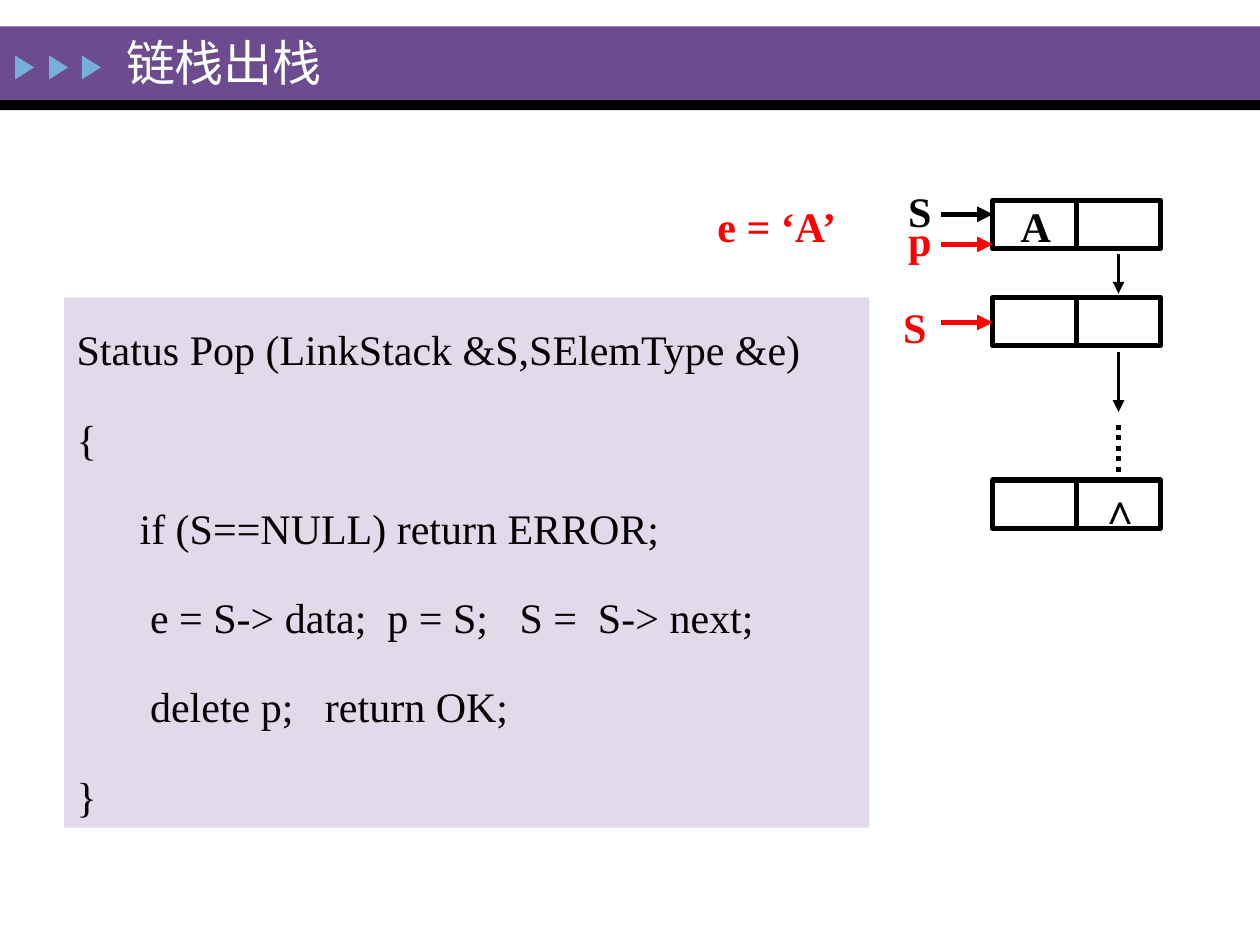
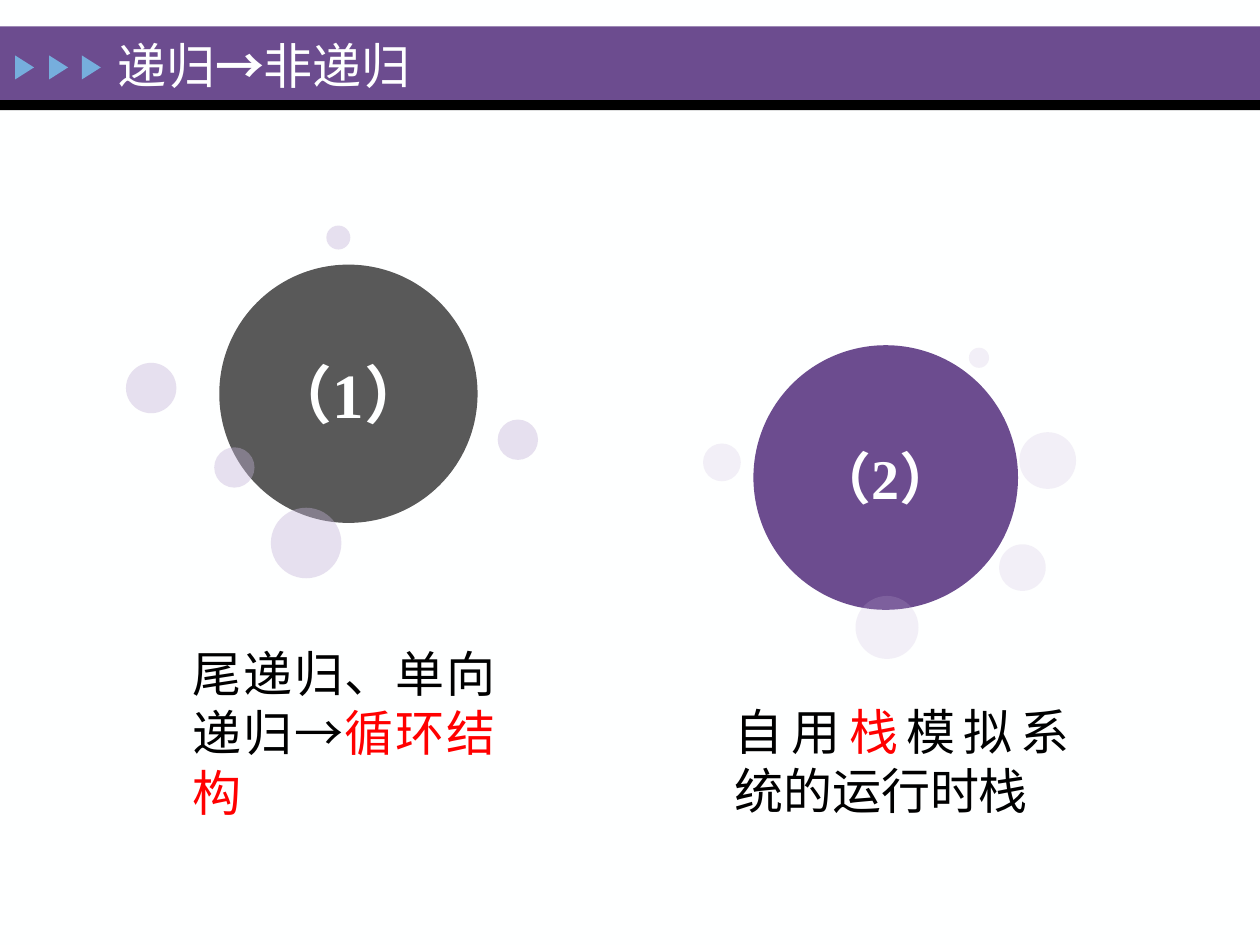
from dataclasses import dataclass, replace
from typing import NamedTuple

from lxml import etree
from pptx import Presentation
from pptx import util as u
from pptx.dml.color import RGBColor
from pptx.enum import dml, shapes, text
from pptx.oxml.ns import qn

COLS, ROWS = 100, 75
WIDE, HIGH = u.Inches(10), u.Inches(7.5)


@dataclass(frozen=True)
class Theme:
    page: str = "FEFFFF"
    band: str = "6C4C8F"
    mark: str = "76AEDD"
    ink: str = "000000"
    hot: str = "FF0000"
    cell: str = "FFFFFF"
    panel: str = "E2D9EB"
    grey: str = "595959"
    mist: str = "C4B3D7"
    latin: str = "Times New Roman"
    asian: str = "Noto Sans CJK SC"
    code: int = 24
    head: int = 28


T = Theme()


class Box(NamedTuple):
    x: float
    y: float
    w: float
    h: float


@dataclass(frozen=True)
class Style:
    size: int
    color: str = T.ink
    bold: bool = False
    align: text.PP_ALIGN = text.PP_ALIGN.LEFT
    gap: float = 0
    lead: float | u.Pt | None = None


class Run(NamedTuple):
    words: str
    color: str = ""
    strong: bool = False


class Line(NamedTuple):
    runs: tuple[Run, ...]
    depth: float = 0


class Tag(NamedTuple):
    words: str
    box: Box
    color: str = T.ink


class Link(NamedTuple):
    start: tuple[float, float]
    end: tuple[float, float]
    width: float = 3
    color: str = T.ink
    head: bool = True
    dots: bool = False


class Dot(NamedTuple):
    x: float
    y: float
    size: float


class Orb(NamedTuple):
    words: str
    size: int
    core: Dot
    fill: str
    alpha: int
    dots: tuple[Dot, ...]


def across(n: float) -> int:
    return round(WIDE * n / COLS)


def down(n: float) -> int:
    return round(HIGH * n / ROWS)


def place(box: Box) -> tuple[int, int, int, int]:
    return across(box.x), down(box.y), across(box.w), down(box.h)


def tint(name: str) -> RGBColor:
    return RGBColor.from_string(name)


def plain(words: str, depth: float = 0) -> Line:
    return Line((Run(words),), depth)


def write(frame, lines: list[Line], style: Style) -> None:
    for i, line in enumerate(lines):
        para = frame.paragraphs[0] if i == 0 else frame.add_paragraph()
        para.alignment = style.align
        para.space_before = u.Pt(style.gap if i else 0)
        if style.lead:
            para.line_spacing = style.lead
        if line.depth:
            para._p.get_or_add_pPr().set("marL", str(across(line.depth)))
        font = para.font
        font.size, font.bold = u.Pt(style.size), style.bold
        font.color.rgb, font.name = tint(style.color), T.latin
        base = para._p.pPr.find(qn("a:defRPr"))
        etree.SubElement(base, qn("a:ea")).set("typeface", T.asian)
        for part in line.runs:
            run = para.add_run()
            run.text = part.words
            if part.color:
                run.font.color.rgb = tint(part.color)
            if part.strong:
                run.font.bold, run.font.name = True, T.asian


def draw(slide, kind: shapes.MSO_SHAPE, box: Box, fill: str,
         alpha: int = 100, edge: float = 0):
    shape = slide.shapes.add_shape(kind, *place(box))
    shape.shadow.inherit = False
    shape.fill.solid()
    shape.fill.fore_color.rgb = tint(fill)
    if alpha < 100:
        color = shape.fill._xPr.find(".//" + qn("a:srgbClr"))
        etree.SubElement(color, qn("a:alpha")).set("val", str(alpha * 1000))
    if edge:
        shape.line.color.rgb = tint(T.ink)
        shape.line.width = u.Pt(edge)
    else:
        shape.line.fill.background()
    return shape


def note(slide, box: Box, lines: list[Line], style: Style):
    item = slide.shapes.add_textbox(*place(box))
    item.text_frame.word_wrap = True
    write(item.text_frame, lines, style)
    return item


def join(slide, link: Link) -> None:
    (x, y), (to_x, to_y) = link.start, link.end
    line = slide.shapes.add_connector(
        shapes.MSO_CONNECTOR.STRAIGHT, across(x), down(y), across(to_x), down(to_y))
    line.line.color.rgb = tint(link.color)
    line.line.width = u.Pt(link.width)
    if link.dots:
        line.line.dash_style = dml.MSO_LINE.ROUND_DOT
    props = line._element.spPr
    if link.head:
        etree.SubElement(props.find(qn("a:ln")), qn("a:tailEnd")).set("type", "triangle")
    etree.SubElement(props, qn("a:effectLst"))


def brand(deck, slide) -> None:
    kind = shapes.MSO_SHAPE
    fill = deck.slide_master.background.fill
    fill.solid()
    fill.fore_color.rgb = tint(T.page)
    parts = [draw(slide, kind.RECTANGLE, Box(0, 2.1, COLS, 5.9), T.band),
             draw(slide, kind.RECTANGLE, Box(0, 7.95, COLS, 0.8), T.ink)]
    for x in (1, 3.7, 6.3):
        mark = draw(slide, kind.ISOSCELES_TRIANGLE, Box(x, 4.6, 1.9, 1.5), T.mark)
        mark.rotation = 90
        parts.append(mark)
    for part in parts:
        deck.slide_master.shapes.element.append(part.element)


def title(slide, box: Box, *runs: Run) -> None:
    item = slide.shapes.title
    item.left, item.top, item.width, item.height = place(box)
    frame = item.text_frame
    frame.auto_size = text.MSO_AUTO_SIZE.NONE
    frame.vertical_anchor = text.MSO_ANCHOR.MIDDLE
    write(frame, [Line(runs)], Style(T.head, T.page))


def stack(slide) -> None:
    title(slide, Box(9, 2.1, 37.2, 5.6), Run("链栈出栈"))
    left, wide, tall = 78.8, 13.3, 3.85
    mid, tip, tail = left + wide / 2, left + wide * 0.75, 74.7
    for top in (15.9, 23.6, 38.1):
        draw(slide, shapes.MSO_SHAPE.RECTANGLE, Box(left, top, wide, tall), T.cell, edge=3)
        join(slide, Link((mid, top), (mid, top + tall), head=False))
    links = [
        Link((tip, 20.2), (tip, 23.3), 2.25),
        Link((tip, 27.9), (tip, 32.7), 2.25),
        Link((tip, 33.7), (tip, 37.5), head=False, dots=True),
        Link((tail, 17), (left, 17)),
        Link((tail, 19.4), (left, 19.4), color=T.hot),
        Link((tail, 25.6), (left, 25.6), color=T.hot),
    ]
    for link in links:
        join(slide, link)
    tags = [
        Tag("∧", Box(86.3, 37.8, 5, 5)),
        Tag("S", Box(70.5, 14.2, 5, 5)),
        Tag("A", Box(79.7, 15.4, 5, 5)),
        Tag("e = ‘A’", Box(52.9, 15.4, 17.5, 5), T.hot),
        Tag("p", Box(70.5, 16.5, 5, 5), T.hot),
        Tag("S", Box(70.1, 23.4, 5, 5), T.hot),
    ]
    base = Style(T.code, bold=True, align=text.PP_ALIGN.CENTER)
    for tag in tags:
        note(slide, tag.box, [plain(tag.words)], replace(base, color=tag.color))
    code = [
        plain("Status Pop (LinkStack &S,SElemType &e)"),
        plain("{"),
        plain("if (S==NULL) return ERROR;", 5),
        plain(" e = S-> data;  p = S;   S =  S-> next;", 5),
        plain(" delete p;   return OK;", 5),
        plain("}"),
    ]
    panel = note(slide, Box(5.1, 23.6, 63.9, 42.1), code,
                 Style(T.code, gap=13.6, lead=1.3))
    panel.text_frame.margin_top = down(0.9)
    panel.fill.solid()
    panel.fill.fore_color.rgb = tint(T.panel)


def bubble(slide, orb: Orb) -> None:
    oval = shapes.MSO_SHAPE.OVAL
    core = orb.core
    frame = draw(slide, oval, Box(core.x, core.y, core.size, core.size), orb.fill).text_frame
    frame.margin_left = frame.margin_right = frame.margin_top = frame.margin_bottom = 0
    frame.word_wrap = False
    frame.vertical_anchor = text.MSO_ANCHOR.MIDDLE
    write(frame, [plain(orb.words)],
          Style(orb.size, T.page, True, text.PP_ALIGN.CENTER))
    for dot in orb.dots:
        draw(slide, oval, Box(dot.x, dot.y, dot.size, dot.size), T.mist, orb.alpha)


def recur(slide) -> None:
    title(slide, Box(8.3, 2.3, 48.4, 5.7),
          Run("递归"), Run("→", strong=True), Run("非递归"))
    orbs = [
        Orb("（2）", 32, Dot(59.8, 27.4, 21), T.band, 20,
            (Dot(55.8, 35.2, 3), Dot(67.9, 47.3, 5), Dot(76.9, 27.6, 1.6),
             Dot(79.3, 43.2, 3.7), Dot(80.9, 34.3, 4.5))),
        Orb("（1）", 36, Dot(17.4, 21, 20.5), T.grey, 40,
            (Dot(39.5, 33.3, 3.2), Dot(17, 35.5, 3.2), Dot(21.5, 40.3, 5.6),
             Dot(25.9, 17.9, 1.9), Dot(10, 28.8, 4))),
    ]
    for orb in orbs:
        bubble(slide, orb)
    style = Style(T.head, align=text.PP_ALIGN.JUSTIFY, lead=u.Pt(34))
    note(slide, Box(14.3, 50.5, 26, 15.1),
         [Line((Run("尾递归、单向递归→"), Run("循环结构", T.hot)))], style)
    note(slide, Box(57.3, 55.1, 28.6, 10.4),
         [Line((Run("自用"), Run("栈", T.hot), Run("模拟系统的运行时栈")))], style)


def main() -> None:
    deck = Presentation()
    deck.slide_width, deck.slide_height = WIDE, HIGH
    first, second = (deck.slides.add_slide(deck.slide_layouts[5]) for _ in range(2))
    brand(deck, first)
    stack(first)
    recur(second)
    deck.save("out.pptx")


if __name__ == "__main__":
    main()
